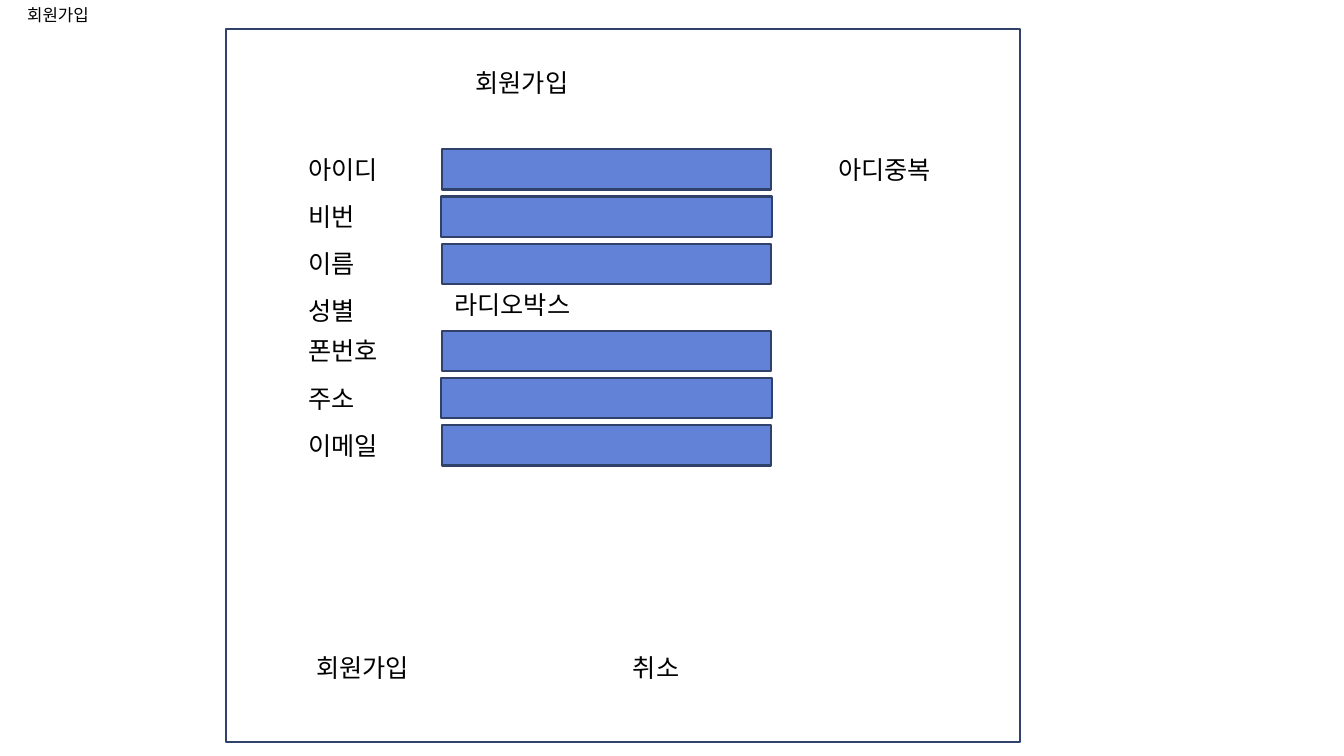
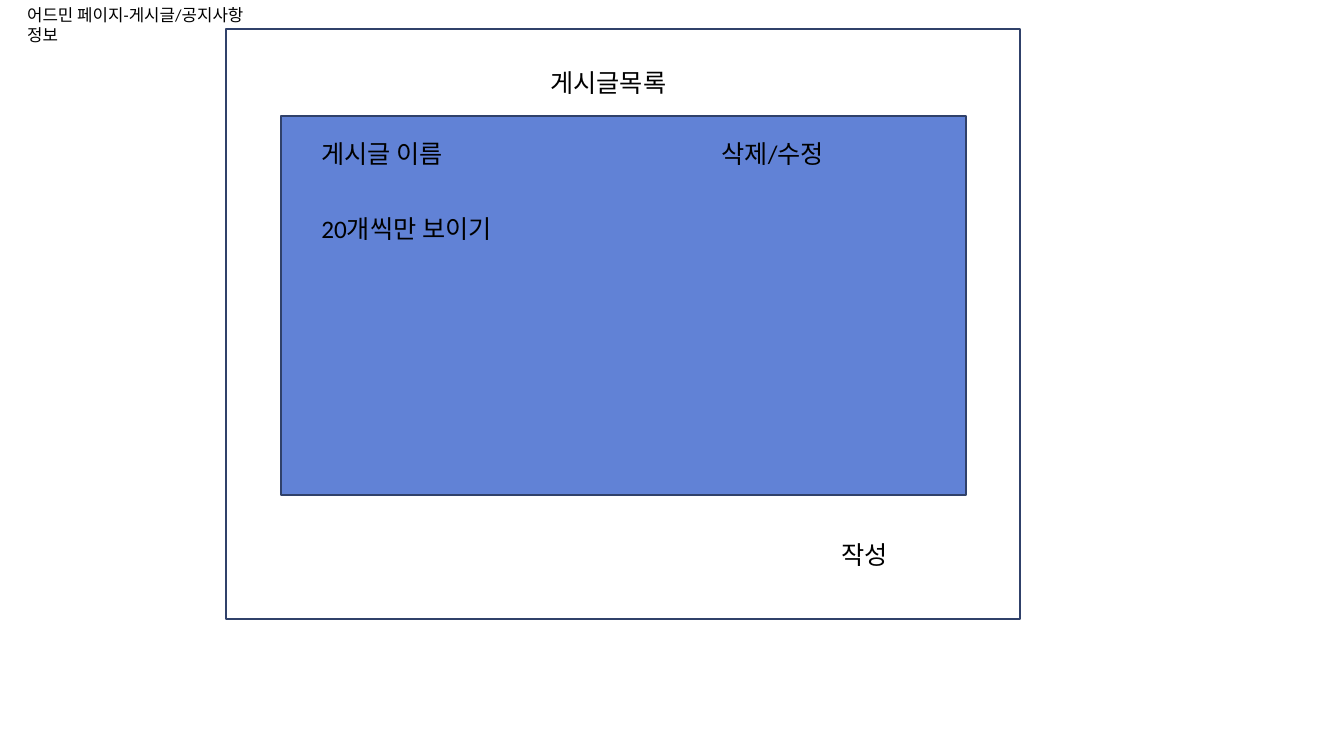
"""Build two wireframe slides: a sign-up form and an admin post list."""
from dataclasses import dataclass

from pptx import Presentation
from pptx.dml.color import RGBColor
from pptx.enum.shapes import MSO_SHAPE
from pptx.enum.text import MSO_ANCHOR, MSO_AUTO_SIZE, PP_ALIGN
from pptx.slide import Slide
from pptx.text.text import TextFrame
from pptx.util import Pt

RECTANGLE = MSO_SHAPE.RECTANGLE
LEFT, CENTER = PP_ALIGN.LEFT, PP_ALIGN.CENTER

WHITE = RGBColor(0xFF, 0xFF, 0xFF)
BLACK = RGBColor(0x00, 0x00, 0x00)
FIELD_BLUE = RGBColor(0x61, 0x82, 0xD6)
OUTLINE_NAVY = RGBColor(0x30, 0x41, 0x6A)

FRAME_FORMAT = {
    "word_wrap": True,
    "auto_size": MSO_AUTO_SIZE.SHAPE_TO_FIT_TEXT,
    "vertical_anchor": MSO_ANCHOR.TOP,
}
FONT_FORMAT = {"name": "Calibri", "bold": False}

TITLE_ONLY = 5
TITLE_SIZE, LABEL_SIZE = 12, 18
ROW_HEIGHT = 28.8
ROW_PITCH = 33.8
HEADING_TOP = 44.6
LABEL_LEFT = 213
FIELD_LEFT, FIELD_WIDTH = 316, 234.8
MIDDLE_OVERHANG = 0.7
FORM_GROUPS = (
    (106.6, ("아이디", "비번", "이름")),
    (236.2, ("폰번호", "주소", "이메일")),
)


@dataclass(frozen=True)
class Label:
    """Text at a place, in points."""

    text: str
    left: float
    top: float
    width: float
    align: PP_ALIGN = LEFT


@dataclass(frozen=True)
class Panel:
    """Outlined rectangle, in points."""

    left: float
    top: float
    width: float
    height: float
    fill: RGBColor = FIELD_BLUE


def write_text(frame: TextFrame, text: str, size: float, align: PP_ALIGN) -> None:
    """Put formatted text into a frame."""
    for key, value in FRAME_FORMAT.items():
        setattr(frame, key, value)
    frame.text = text
    paragraph = frame.paragraphs[0]
    paragraph.alignment = align
    font = paragraph.runs[0].font
    for key, value in FONT_FORMAT.items():
        setattr(font, key, value)
    font.size = Pt(size)
    font.color.rgb = BLACK


def draw_label(slide: Slide, label: Label) -> None:
    """Draw one label."""
    box = slide.shapes.add_textbox(
        Pt(label.left), Pt(label.top), Pt(label.width), Pt(ROW_HEIGHT)
    )
    write_text(box.text_frame, label.text, LABEL_SIZE, label.align)


def draw_panel(slide: Slide, panel: Panel) -> None:
    """Draw one outlined rectangle."""
    shape = slide.shapes.add_shape(
        RECTANGLE, Pt(panel.left), Pt(panel.top), Pt(panel.width), Pt(panel.height)
    )
    shape.shadow.inherit = False
    shape.fill.solid()
    shape.fill.fore_color.rgb = panel.fill
    shape.line.color.rgb = OUTLINE_NAVY
    shape.line.width = Pt(1.5)


def add_screen(
    deck: Presentation, title: str, title_height: float, screen_height: float
) -> Slide:
    """Add a slide with its page title and screen outline."""
    slide = deck.slides.add_slide(deck.slide_layouts[TITLE_ONLY])
    heading = slide.shapes.title
    place = {"left": 12.2, "top": 0, "width": 176.4, "height": title_height}
    for key, value in place.items():
        setattr(heading, key, Pt(value))
    write_text(heading.text_frame, title, TITLE_SIZE, LEFT)
    draw_panel(slide, Panel(161.3, 20.9, 567.4, screen_height, WHITE))
    return slide


def build_signup(deck: Presentation) -> None:
    """Build the sign-up form."""
    slide = add_screen(deck, "회원가입", 20.9, 509)
    for group_top, names in FORM_GROUPS:
        for row, name in enumerate(names):
            top = group_top + row * ROW_PITCH
            overhang = MIDDLE_OVERHANG if row == 1 else 0
            draw_label(slide, Label(name, LABEL_LEFT, top, 73.4))
            draw_panel(
                slide,
                Panel(
                    FIELD_LEFT - overhang, top, FIELD_WIDTH + 2 * overhang, ROW_HEIGHT
                ),
            )
    for label in (
        Label("회원가입", 332.6, HEADING_TOP, 247.7),
        Label("아디중복", 591.8, 106.6, 87.1),
        Label("성별", LABEL_LEFT, 207.4, 73.4),
        Label("라디오박스", 317.5, 203, 232.6),
        Label("회원가입", 218.9, 462.2, 135.4),
        Label("취소", 445, 462.2, 135.4),
    ):
        draw_label(slide, label)


def build_post_list(deck: Presentation) -> None:
    """Build the admin post list."""
    slide = add_screen(deck, "어드민 페이지-게시글/공지사항 정보", 35.3, 421.2)
    draw_panel(slide, Panel(200.9, 82.8, 488.9, 270.7))
    for label in (
        Label("게시글목록", 188.6, HEADING_TOP, 491.8, CENTER),
        Label("게시글 이름", 222.5, 95, 152.6),
        Label("20개씩만 보이기", 222.5, 149, 152.6),
        Label("삭제/수정", 508.3, 95, 152.6),
        Label("작성", 594, 381.6, 97.9),
    ):
        draw_label(slide, label)


def main() -> None:
    """Build and save the deck."""
    deck = Presentation()
    deck.slide_width, deck.slide_height = Pt(960), Pt(540)
    build_signup(deck)
    build_post_list(deck)
    deck.save("out.pptx")


if __name__ == "__main__":
    main()
